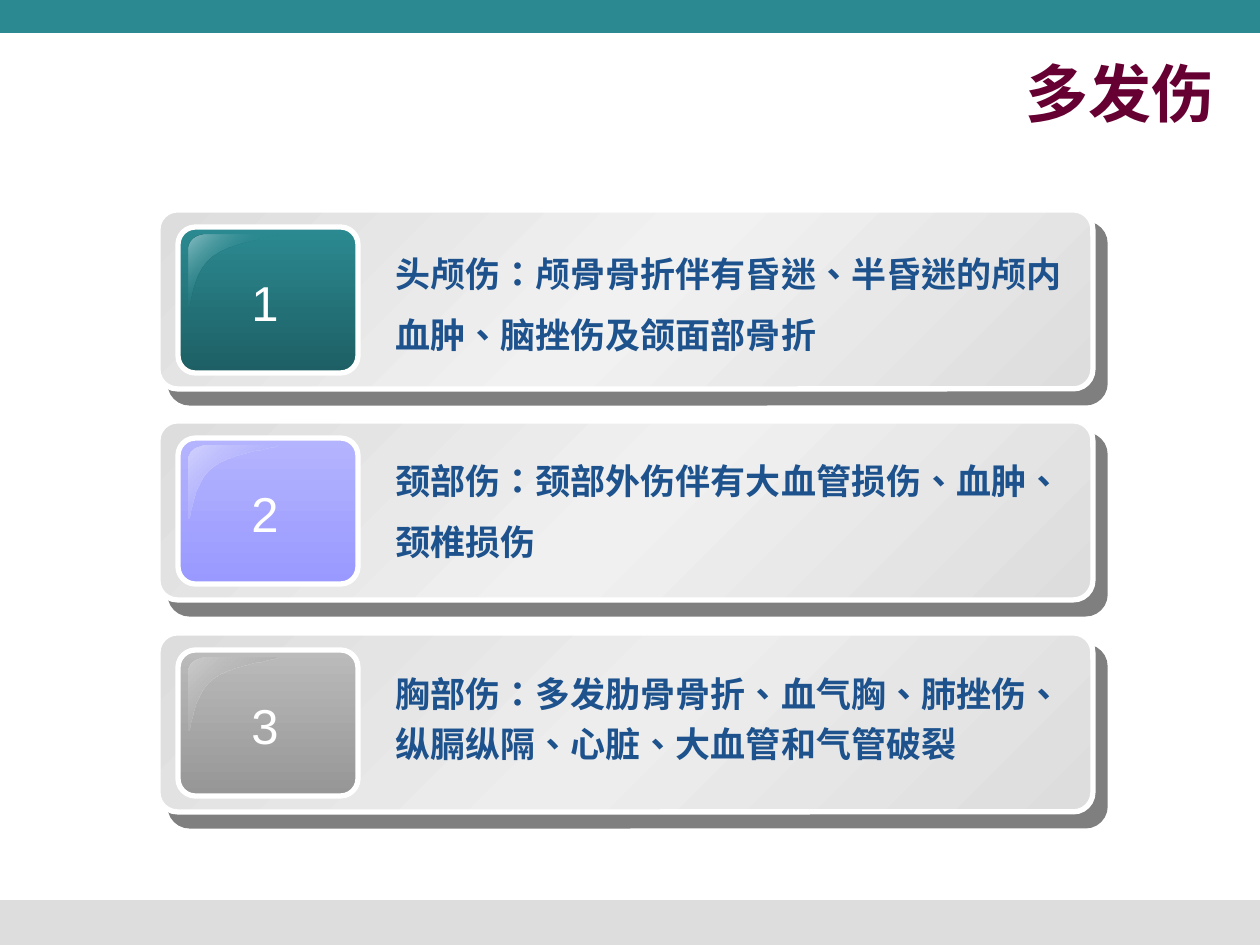
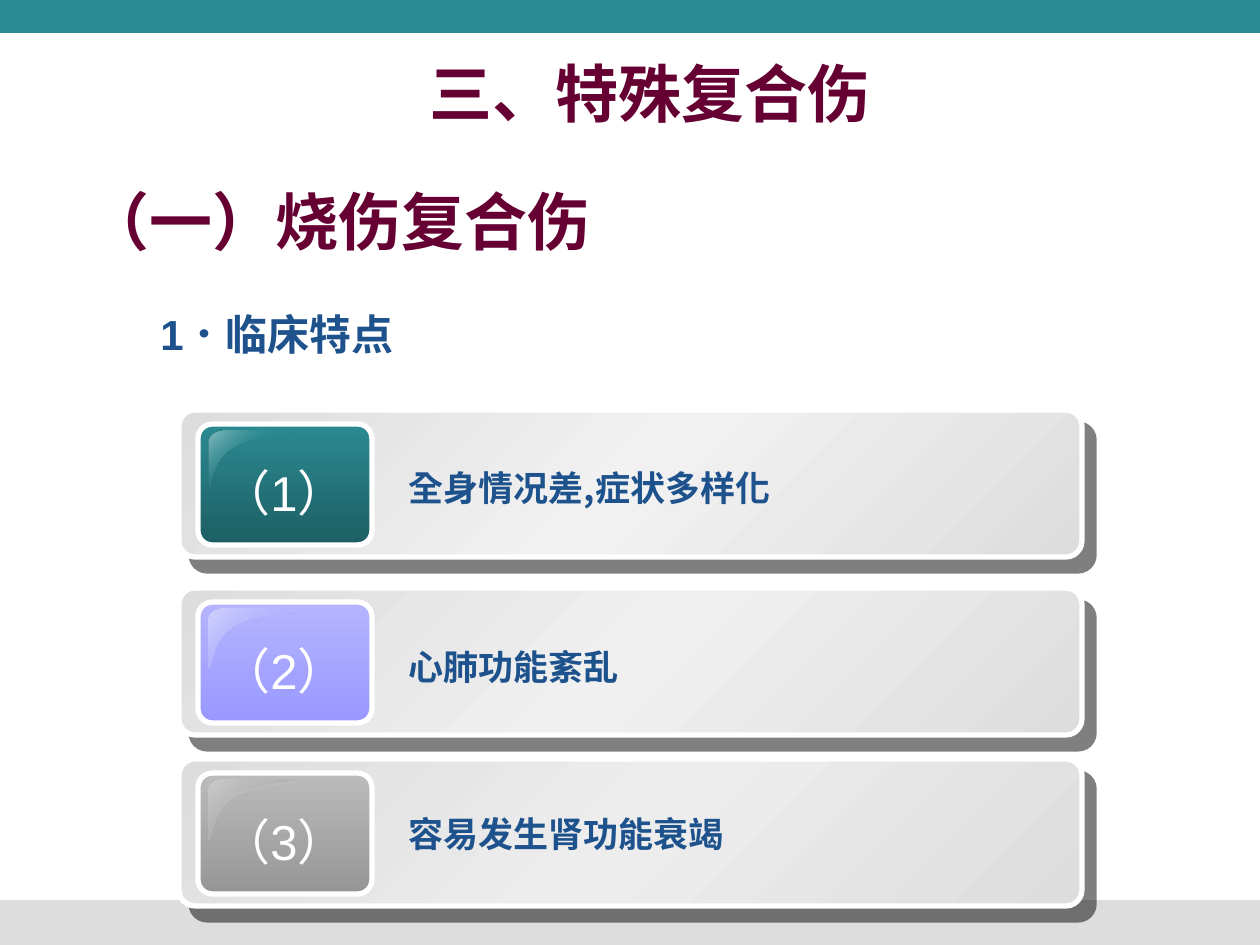
from dataclasses import dataclass

from lxml.etree import SubElement
from pptx import Presentation
from pptx.dml.color import RGBColor
from pptx.enum.lang import MSO_LANGUAGE_ID as LANG
from pptx.enum.shapes import MSO_SHAPE
from pptx.enum.text import MSO_ANCHOR, MSO_AUTO_SIZE, PP_ALIGN
from pptx.oxml.ns import qn
from pptx.util import Emu, Pt

SCALE = 914400 / 126  # EMU in one px
WIDE, HIGH = 1260, 945


# Colours and type sizes
@dataclass(frozen=True)
class Theme:
    teal: str = "2B8A91"
    grey: str = "DDDDDD"
    white: str = "FFFFFF"
    wine: str = "660033"
    blue: str = "1D528D"
    head: int = 36
    sub: int = 24
    body: int = 20
    num: int = 28
    face: str = "Arial"
    bold_face: str = "DejaVu Sans"
    han: str = "Noto Sans CJK SC"


T = Theme()
SHINE = ("F1F1F1", "F0F0F0", "EDEDED")  # middle of each card
TILES = ((T.teal, "1D5F64"), ("B4B4FE", "9999FF"), ("BBBBBB", "969696"))
# Gloss stops: place, colour, opacity
GLOSS = (
    ((0, "8ABEC2", 100), (50, T.teal, 0), (100, "8ABEC2", 100)),
    ((0, "9999FF", 0), (100, "D2D2FE", 100)),
    ((0, "969696", 0), (100, "CBCBCB", 100)),
)
# Gloss outline as fractions of its box: cubic curves of four points
CURVES = (
    ((0.2, 0), (0.08, 0), (0, 0.09), (0, 0.2)),
    ((0, 1), (0.04, 1), (0.03, 0.52), (0.27, 0.3)),
    ((0.27, 0.3), (0.52, 0.07), (1, 0.05), (1, 0)),
)


@dataclass(frozen=True)
class Plan:
    """Sizes of a stack of cards; tile and gloss are offsets from the card."""
    left: int
    card: tuple
    tile: tuple
    gloss: tuple
    num: tuple
    text: int


def px(*nums):
    return [Emu(round(n * SCALE)) for n in nums]


def tint(color):
    return RGBColor.from_string(color)


# Text
def write(shape, text, size=T.body, color=T.blue, face=T.face, bold=True,
          align=PP_ALIGN.LEFT, anchor=MSO_ANCHOR.TOP, lead=1.0, wrap=True,
          lang=LANG.TRADITIONAL_CHINESE):
    frame = shape.text_frame
    frame.word_wrap = wrap
    frame.auto_size = MSO_AUTO_SIZE.NONE
    frame.vertical_anchor = anchor
    para = frame.paragraphs[0]
    para.alignment, para.line_spacing = align, lead
    run = para.add_run()
    run.text = text
    font = run.font
    font.size, font.bold, font.name = Pt(size), bold, face
    font.color.rgb = tint(color)
    font.language_id = lang
    latin = run._r.rPr.find(qn("a:latin"))
    east = latin.makeelement(qn("a:ea"), {"typeface": face})
    latin.addnext(east)


def label(slide, box, text, **form):
    write(slide.shapes.add_textbox(*px(*box)), text, **form)


def title(slide, text, align):
    shape = slide.shapes.title
    shape.left, shape.top, shape.width, shape.height = px(73, 53, 1154, 78)
    write(shape, text, size=T.head, color=T.wine, face=T.bold_face,
          align=align, anchor=MSO_ANCHOR.MIDDLE, lang=LANG.SIMPLIFIED_CHINESE)


# Fills and shapes
def blend(shape, stops, angle):
    shape.fill.gradient()
    grad = shape._element.spPr.find(qn("a:gradFill"))
    for child in list(grad):
        grad.remove(child)
    group = SubElement(grad, qn("a:gsLst"))
    for place, color, alpha in stops:
        stop = SubElement(group, qn("a:gs"), pos=str(place * 1000))
        rgb = SubElement(stop, qn("a:srgbClr"), val=color)
        if alpha < 100:
            SubElement(rgb, qn("a:alpha"), val=str(alpha * 1000))
    SubElement(grad, qn("a:lin"), ang=str(angle * 60000), scaled="0")


def band(slide, top, height, color):
    shape = slide.shapes.add_shape(MSO_SHAPE.RECTANGLE,
                                   *px(0, top, WIDE, height))
    shape.shadow.inherit = False
    shape.fill.solid()
    shape.fill.fore_color.rgb = tint(color)
    shape.line.fill.background()


def panel(slide, box, bend, stops, angle):
    shape = slide.shapes.add_shape(MSO_SHAPE.ROUNDED_RECTANGLE, *px(*box))
    shape.adjustments[0] = bend
    blend(shape, stops, angle)
    shape.line.color.rgb = tint(T.white)
    shape.line.width = Pt(3)
    shape.shadow.inherit = False
    return shape


def shade(shape):
    effect = shape._element.spPr.find(qn("a:effectLst"))
    drop = SubElement(effect, qn("a:outerShdw"), dist=str(Pt(10.6)),
                      dir=str(49 * 60000), algn="ctr", rotWithShape="0")
    rgb = SubElement(drop, qn("a:srgbClr"), val="000000")
    SubElement(rgb, qn("a:alpha"), val="50000")


def bezier(a, b, c, d, steps=10):
    for i in range(steps + 1):
        t = i / steps
        u = 1 - t
        yield tuple(u**3 * p + 3 * u * u * t * q + 3 * u * t * t * r + t**3 * s
                    for p, q, r, s in zip(a, b, c, d))


def glint(slide, box, stops):
    left, top, width, height = box
    dots = [px(left + x * width, top + y * height)
            for curve in CURVES for x, y in bezier(*curve)]
    path = slide.shapes.build_freeform(*dots[0])
    path.add_line_segments(dots[1:], close=True)
    shape = path.convert_to_shape()
    blend(shape, stops, 225)
    shape.line.fill.background()
    shape.shadow.inherit = False


# One card: panel, numbered tile and text
def card(slide, plan, row, top, mark, text, drop, **form):
    def place(part):
        x, y, width, height = part
        return plan.left + x, top + y, width, height

    ends = ((0, T.grey, 100), (50, SHINE[row], 100), (100, T.grey, 100))
    shade(panel(slide, place((0, 0, *plan.card)), 0.109, ends, 225))
    first, last = TILES[row]
    panel(slide, place(plan.tile), 0.119,
          ((0, first, 100), (100, last, 100)), 90)
    glint(slide, place(plan.gloss), GLOSS[row])
    label(slide, place(plan.num), mark, size=T.num, color=T.white, bold=False,
          align=PP_ALIGN.CENTER, wrap=False)
    width = plan.card[0] - plan.text
    label(slide, place((plan.text, drop, width, 124)), text, **form)


def page(deck, text, align):
    slide = deck.slides.add_slide(deck.slide_layouts[5])
    band(slide, 900, 45, T.grey)
    band(slide, 0, 33, T.teal)
    title(slide, text, align)
    return slide


def wounds(deck):
    slide = page(deck, "多发伤", PP_ALIGN.RIGHT)
    plan = Plan(158, (935, 179), (20, 17, 180, 146), (31, 25, 89, 73),
                (81, 56, 52, 72), 225)
    rows = (
        (210, "头颅伤：颅骨骨折伴有昏迷、半昏迷的颅内血肿、脑挫伤及颌面部骨折", 18, 1.44),
        (421, "颈部伤：颈部外伤伴有大血管损伤、血肿、颈椎损伤", 14, 1.44),
        (633, "胸部伤：多发肋骨骨折、血气胸、肺挫伤、纵膈纵隔、心脏、大血管和气管破裂", 25, 1.2),
    )
    for row, (top, text, drop, lead) in enumerate(rows):
        card(slide, plan, row, top, str(row + 1), text, drop, lead=lead)


def burns(deck):
    slide = page(deck, "三、特殊复合伤", PP_ALIGN.CENTER)
    label(slide, (74, 175, 800, 90), "（一）烧伤复合伤", size=T.head,
          color=T.wine, face=T.han, anchor=MSO_ANCHOR.MIDDLE,
          lang=LANG.SIMPLIFIED_CHINESE)
    label(slide, (148, 299, 600, 70), "1．临床特点", size=T.sub,
          anchor=MSO_ANCHOR.MIDDLE)
    plan = Plan(179, (903, 147), (19, 14, 174, 121), (30, 21, 87, 60),
                (18, 46, 174, 72), 217)
    rows = (
        (410, "全身情况差,症状多样化", 50, T.han),
        (588, "心肺功能紊乱", 51, T.han),
        (759, "容易发生肾功能衰竭", 47, T.face),
    )
    for row, (top, text, drop, face) in enumerate(rows):
        card(slide, plan, row, top, f"（{row + 1}）", text, drop, face=face)


def main():
    deck = Presentation()
    deck.slide_width, deck.slide_height = px(WIDE, HIGH)
    wounds(deck)
    burns(deck)
    deck.save("out.pptx")


if __name__ == "__main__":
    main()
